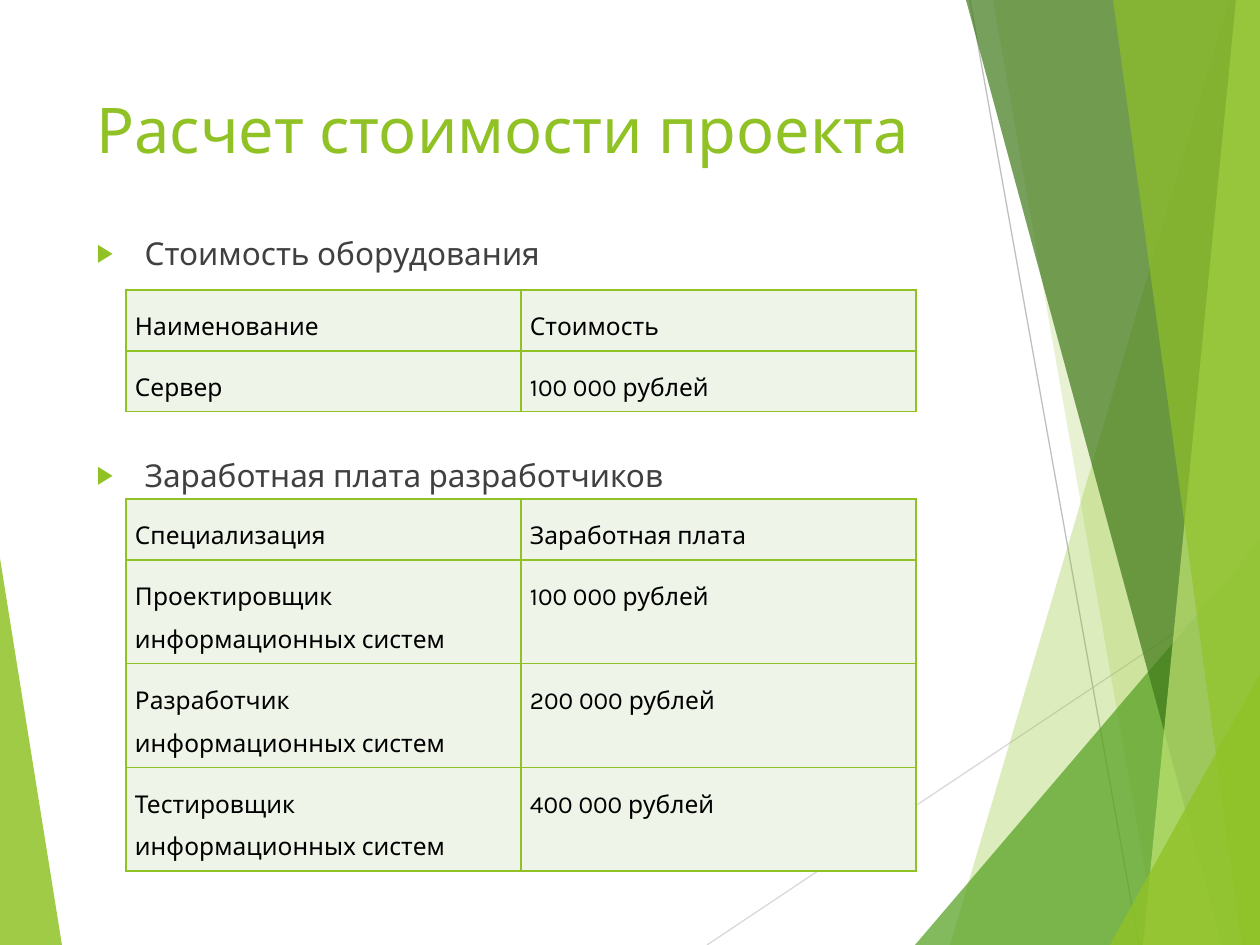
"""Build the project cost slide with two price tables."""
from dataclasses import dataclass

from lxml import etree as et
from pptx import Presentation
from pptx import util as u
from pptx.dml import color as dml
from pptx.enum import shapes as sh, text as tx
from pptx.oxml import ns

PX = 914400 / 126


@dataclass(frozen=True)
class Theme:
    """Hold the colours, font and type sizes."""
    font: str = "Karla"
    green: str = "90C226"
    leaf: str = "54A021"
    dark: str = "3F7819"
    light: str = "C0E474"
    pale: str = "EEF4E8"
    body: str = "404040"
    ink: str = "000000"
    big: int = 36
    mid: int = 18
    small: int = 14


T = Theme()


def px(n):
    """Turn pixels into EMU."""
    return u.Emu(round(n * PX))


def rgb(code):
    """Turn a hex code into a colour."""
    return dml.RGBColor.from_string(code)


def sub(node, tag, **attrs):
    """Add a drawing element under a node."""
    return et.SubElement(node, ns.qn("a:" + tag), attrs)


def style(para, size, color):
    """Set the font of every run in a paragraph."""
    for run in para.runs:
        run.font.name = T.font
        run.font.size = u.Pt(size)
        run.font.color.rgb = rgb(color)


def place(shape, box):
    """Move a shape to a pixel box."""
    shape.left, shape.top, shape.width, shape.height = map(px, box)


def facet(slide, pts, color, alpha):
    """Draw one translucent polygon."""
    pen = slide.shapes.build_freeform(*pts[0], scale=PX)
    pen.add_line_segments(pts[1:], close=True)
    shape = pen.convert_to_shape()
    shape.shadow.inherit = False
    shape.line.fill.background()
    shape.fill.solid()
    shape.fill.fore_color.rgb = rgb(color)
    tone = next(shape.element.spPr.iter(ns.qn("a:srgbClr")))
    sub(tone, "alpha", val=str(alpha * 1000))


def ray(slide, ends, color):
    """Draw one thin straight line."""
    line = slide.shapes.add_connector(
        sh.MSO_CONNECTOR.STRAIGHT, *map(px, ends))
    line.line.color.rgb = rgb(color)
    line.line.width = u.Pt(0.75)
    sub(line.element.spPr, "effectLst")


def decor(slide, box):
    """Draw the faceted backdrop inside a box."""
    x, y, w, h = box
    r, b = x + w, y + h
    facet(slide, [(x, y + 558), (x + 62, b), (x, b)], T.green, 85)
    ray(slide, (x + 707, b, r, y + 576), "D9D9D9")
    ray(slide, (x + 970, y, x + 1139, b), "BFBFBF")
    bands = [
        (1229, 0, 950, T.green, 30),
        (993, 0, 1158, T.green, 20),
        (1260, 541, 915, T.leaf, 72),
        (966, 0, 1222, T.dark, 70),
        (1236, 0, 1143, T.light, 70),
        (1113, 0, 1242, T.green, 65),
        (1260, 674, 1110, T.green, 80),
    ]
    for top, drop, foot, color, alpha in bands:
        pts = [(x + top, y + drop), (x + foot, b), (r, b), (r, y + drop)]
        facet(slide, pts, color, alpha)


def title(slide, box, words):
    """Fill and place the title."""
    shape = slide.shapes.title
    place(shape, box)
    frame = shape.text_frame
    frame.text = words
    frame.auto_size = tx.MSO_AUTO_SIZE.NONE
    frame.vertical_anchor = tx.MSO_ANCHOR.TOP
    para = frame.paragraphs[0]
    para.alignment = tx.PP_ALIGN.LEFT
    style(para, T.big, T.green)


def body(slide, box, items):
    """Fill the bullet list from pairs of text and space before."""
    shape = slide.placeholders[1]
    place(shape, box)
    frame = shape.text_frame
    frame.text = "\n".join(words for words, _ in items)
    frame.auto_size = tx.MSO_AUTO_SIZE.NONE
    frame.vertical_anchor = tx.MSO_ANCHOR.TOP
    for para, (_, gap) in zip(frame.paragraphs, items):
        para.space_before = u.Pt(gap)
        style(para, T.mid, T.body)
        props = para._p.get_or_add_pPr()
        props.set("marL", str(px(48)))
        props.set("indent", str(px(-48)))
        sub(sub(props, "buClr"), "srgbClr", val=T.green)
        sub(props, "buSzPct", val="80000")
        sub(props, "buFont", typeface="Arial")
        sub(props, "buChar", char="▶")


def edge(cell):
    """Give a cell a green border on all sides."""
    props = cell._tc.get_or_add_tcPr()
    for i, side in enumerate("LRTB"):
        line = sub(props, "ln" + side, w=str(u.Pt(1)))
        sub(sub(line, "solidFill"), "srgbClr", val=T.green)
        props.insert(i, line)


def grid(slide, box, rows, highs):
    """Place a two-column table in a box."""
    x, y, w, h = map(px, box)
    table = slide.shapes.add_table(len(rows), 2, x, y, w, h).table
    table.first_row = table.horz_banding = False
    for col in table.columns:
        col.width = px(box[2] / 2)
    for row, high, words in zip(table.rows, highs, rows):
        row.height = px(high)
        for cell, word in zip(row.cells, words):
            cell.text = word
            cell.margin_left = cell.margin_right = px(9)
            cell.margin_top = cell.margin_bottom = px(9)
            cell.fill.solid()
            cell.fill.fore_color.rgb = rgb(T.pale)
            edge(cell)
            para = cell.text_frame.paragraphs[0]
            para.alignment = tx.PP_ALIGN.JUSTIFY
            para.line_spacing = 1.5
            para.space_after = u.Pt(10)
            style(para, T.small, T.ink)


def main():
    """Build and save the slide."""
    deck = Presentation()
    deck.slide_width, deck.slide_height = px(1260), px(945)
    slide = deck.slides.add_slide(deck.slide_layouts[1])
    decor(slide, (0, 0, 1260, 945))
    title(slide, (84, 84, 875, 182), "Расчет стоимости проекта")
    body(slide, (84, 228, 875, 534), [
        ("Стоимость оборудования", 10),
        ("Заработная плата разработчиков", 105)])
    grid(slide, (126, 290, 790, 120), [
        ("Наименование", "Стоимость"),
        ("Сервер", "100 000 рублей")], [60, 60])
    grid(slide, (126, 499, 790, 369), [
        ("Специализация", "Заработная плата"),
        ("Проектировщик информационных систем", "100\u00a0000 рублей"),
        ("Разработчик информационных систем", "200 000 рублей"),
        ("Тестировщик информационных систем", "400 000 рублей"),
    ], [60, 103, 103, 103])
    deck.save("out.pptx")


main()
